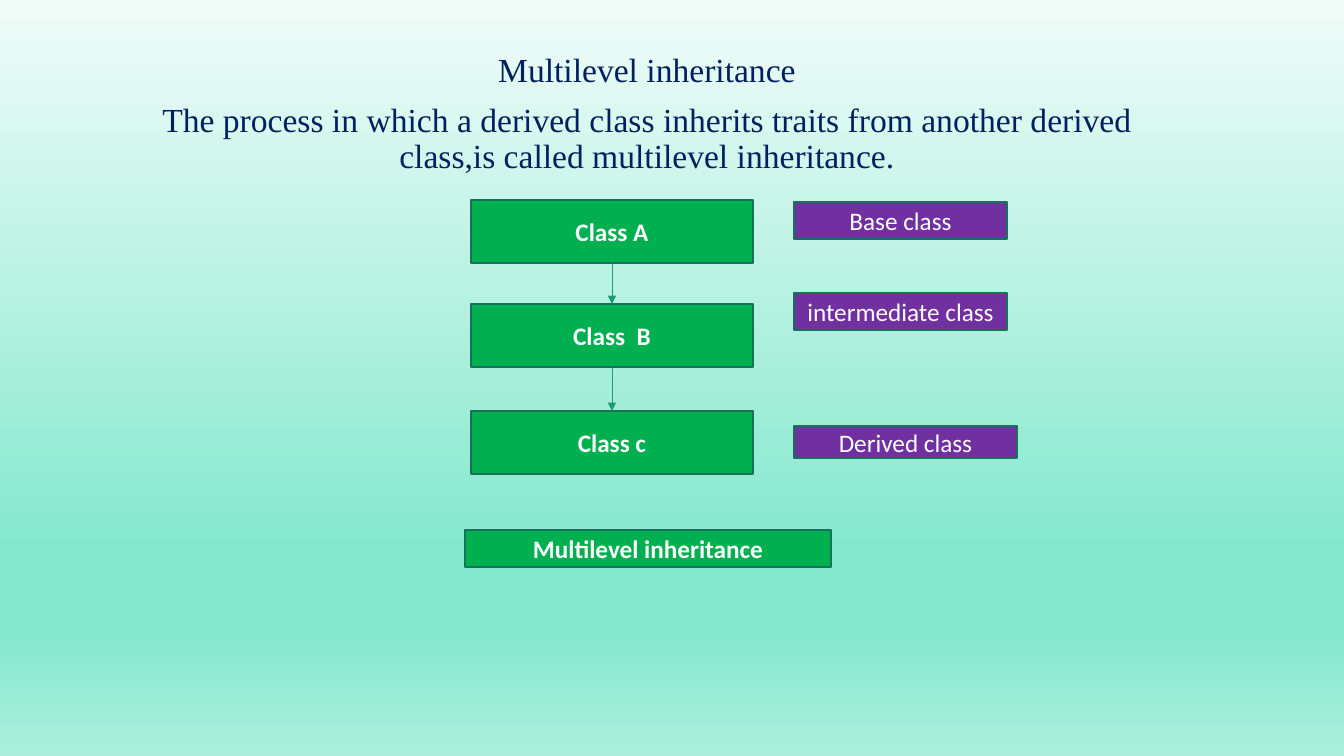
from copy import deepcopy

from lxml import etree
from pptx import Presentation
from pptx import util as u
from pptx.dml.color import RGBColor
from pptx.enum import shapes, text
from pptx.oxml import ns

PX = 12192000 / 1344

NAVY = RGBColor(0x00, 0x20, 0x60)
GREEN = RGBColor(0x00, 0xB0, 0x50)
PURPLE = RGBColor(0x70, 0x30, 0xA0)
WHITE = RGBColor(0xFF, 0xFF, 0xFF)
BORDER = RGBColor(0x15, 0x72, 0x59)
ARROW = RGBColor(0x1D, 0x9A, 0x78)
BACKGROUND_STOPS = [
    (0, RGBColor(0xF1, 0xFC, 0xF9)),
    (0.74, RGBColor(0x83, 0xE8, 0xCC)),
    (0.83, RGBColor(0x83, 0xE8, 0xCC)),
    (1, RGBColor(0xAC, 0xEF, 0xDD)),
]


def px(*lengths):
    return [u.Emu(round(length * PX)) for length in lengths]


def write(shape, *lines, font="Calibri", size=18, color=WHITE, bold=False,
          anchor=text.MSO_ANCHOR.MIDDLE, before=0, spacing=1.0):
    """Fill the shape with one centred paragraph for each line."""
    frame = shape.text_frame
    frame.word_wrap = True
    frame.auto_size = text.MSO_AUTO_SIZE.NONE
    frame.vertical_anchor = anchor
    frame.text = "\n".join(lines)
    for paragraph in frame.paragraphs:
        paragraph.alignment = text.PP_ALIGN.CENTER
        paragraph.space_before = u.Pt(before)
        paragraph.line_spacing = spacing
        for run in paragraph.runs:
            run.font.name = font
            run.font.size = u.Pt(size)
            run.font.bold = bold
            run.font.color.rgb = color


presentation = Presentation()
presentation.slide_width, presentation.slide_height = px(1344, 756)
slide = presentation.slides.add_slide(presentation.slide_layouts[0])

# Background gradient, top to bottom
background = slide.background.fill
background.gradient()
background.gradient_angle = 270
stop_list = slide.element.xpath(".//a:gsLst")[0]
while len(stop_list) < len(BACKGROUND_STOPS):
    stop_list.append(deepcopy(stop_list[0]))
for stop, (position, color) in zip(background.gradient_stops, BACKGROUND_STOPS):
    stop.position = position
    stop.color.rgb = color

# Heading and definition share the subtitle placeholder
title = slide.shapes.title.element
title.getparent().remove(title)
definition = slide.placeholders[1]
definition.left, definition.top, definition.width, definition.height = px(119, 48, 1056, 613)
write(
    definition,
    "Multilevel inheritance",
    "The process in which a derived class inherits traits from another derived "
    "class,is called multilevel inheritance.",
    font="Times New Roman", size=24, color=NAVY,
    anchor=text.MSO_ANCHOR.TOP, before=10, spacing=0.9,
)

# Class boxes, role labels and caption
CLASS_LEFT, CLASS_WIDTH, CLASS_HEIGHT = 471, 282, 63
class_tops = [200, 304, 411]
boxes = [
    (label, CLASS_LEFT, top, CLASS_WIDTH, CLASS_HEIGHT, GREEN)
    for label, top in zip(["Class A", "Class  B", "Class c"], class_tops)
]
boxes += [
    ("Base class", 794, 202, 213, 37, PURPLE),
    ("intermediate class", 794, 293, 213, 37, PURPLE),
    ("Derived class", 794, 426, 223, 32, PURPLE),
    ("Multilevel inheritance", 465, 530, 366, 37, GREEN),
]
for label, left, top, width, height, fill in boxes:
    box = slide.shapes.add_shape(
        shapes.MSO_SHAPE.RECTANGLE, *px(left, top, width, height))
    box.shadow.inherit = False
    box.fill.solid()
    box.fill.fore_color.rgb = fill
    box.line.color.rgb = BORDER
    box.line.width = u.Pt(1)
    write(box, label, bold=fill == GREEN)

# Arrows from each class down to the next
center = CLASS_LEFT + CLASS_WIDTH // 2
for upper, lower in zip(class_tops, class_tops[1:]):
    arrow = slide.shapes.add_connector(
        shapes.MSO_CONNECTOR.STRAIGHT,
        *px(center, upper + CLASS_HEIGHT, center, lower))
    arrow.line.color.rgb = ARROW
    arrow.line.width = u.Pt(0.5)
    etree.SubElement(arrow.line._get_or_add_ln(), ns.qn("a:tailEnd"), type="triangle")
    etree.SubElement(arrow.element.spPr, ns.qn("a:effectLst"))

presentation.save("out.pptx")
